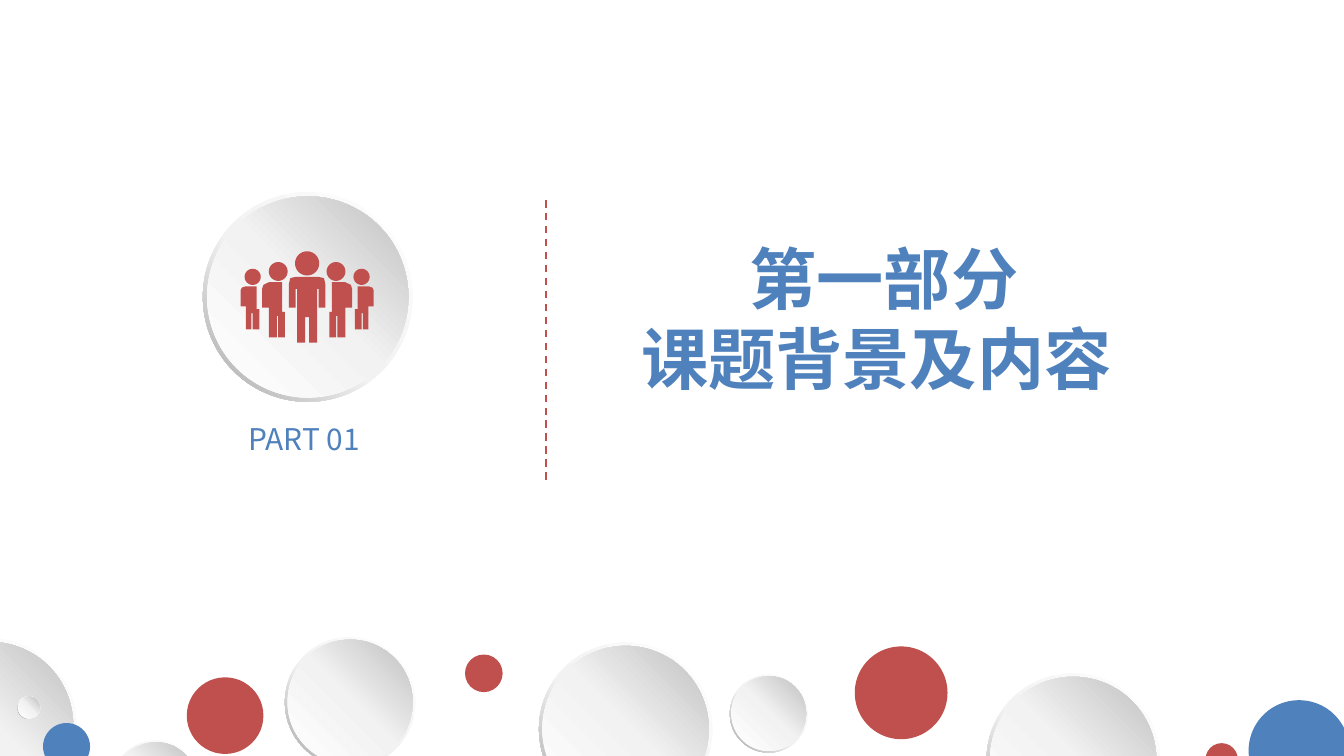
"""Build a section-opening slide with a people badge and a border of balls."""
from copy import deepcopy
from math import cos, pi, sin

from lxml.etree import SubElement
from pptx import Presentation
from pptx.dml.color import RGBColor
from pptx.enum.dml import MSO_LINE
from pptx.enum.shapes import MSO_CONNECTOR, MSO_SHAPE
from pptx.enum.text import MSO_ANCHOR, MSO_AUTO_SIZE, PP_ALIGN
from pptx.oxml.ns import qn
from pptx.util import Inches, Pt

FONT = "Noto Sans CJK SC"
BLUE = RGBColor(0x4F, 0x81, 0xBD)
RED = RGBColor(0xC0, 0x50, 0x4D)
WHITE = RGBColor(0xFF, 0xFF, 0xFF)
PALE = RGBColor(0xF2, 0xF2, 0xF2)
SILVER = RGBColor(0xBF, 0xBF, 0xBF)
GREY = RGBColor(0xA6, 0xA6, 0xA6)

HEADING = [" 第一部分", "课题背景及内容"]
PART_LABEL = "PART 01"

RIM_GRADIENT = (225, [(0, WHITE), (0.55, PALE), (1, GREY)])
FACE_GRADIENT = (45, [(0, WHITE), (0.51, PALE), (1, SILVER)])
RIM_WIDTH = 0.05
FACE_RATIO = 0.96

BADGE = (1.51, 1.43, 1.56, None)
BORDER_BALLS = [
    (4.01, 4.78, 1.29, None),
    (6.36, 4.81, 0.69, RED),
    (2.12, 4.74, 0.97, None),
    (9.29, 5.21, 0.75, BLUE),
    (0.84, 5.51, 0.64, None),
    (3.46, 4.87, 0.28, RED),
    (5.43, 5.02, 0.58, None),
    (7.34, 5.01, 1.29, None),
    (8.97, 5.53, 0.24, RED),
    (-0.72, 4.75, 1.29, None),
    (1.39, 5.04, 0.57, RED),
    (0.32, 5.38, 0.35, BLUE),
    (0.13, 5.18, 0.17, None),
]

PEOPLE_SPAN = 1.79 + 2.78
LEADER_HEAD = (PEOPLE_SPAN / 2, 1.96, 0.09)
LEADER_HALF = [
    (2.37, 2.06), (2.41, 2.07), (2.42, 2.11), (2.42, 2.29), (2.37, 2.29), (2.37, 2.15),
    (2.36, 2.15), (2.36, 2.55), (2.3, 2.55), (2.3, 2.36),
]
LEFT_HEADS = [(1.88, 2.06, 0.06), (2.07, 2.02, 0.07)]
LEFT_BODIES = [
    [(1.93, 2.3), (1.93, 2.45), (1.88, 2.45), (1.88, 2.33), (1.87, 2.33), (1.87, 2.45),
     (1.83, 2.45), (1.83, 2.28), (1.79, 2.28), (1.79, 2.16), (1.8, 2.14), (1.83, 2.13),
     (1.91, 2.13), (1.91, 2.3)],
    [(2.12, 2.32), (2.12, 2.51), (2.07, 2.51), (2.07, 2.35), (2.06, 2.35), (2.06, 2.51),
     (2, 2.51), (2, 2.29), (1.95, 2.29), (1.95, 2.15), (1.96, 2.12), (2, 2.1),
     (2.1, 2.1), (2.1, 2.32)],
]


def mirror(points):
    return [(PEOPLE_SPAN - x, y) for x, y in points]


def head_outline(x, y, radius, steps=40):
    angles = [2 * pi * step / steps for step in range(steps)]
    return [(x + radius * cos(a), y + radius * sin(a)) for a in angles]


def paint(shape, color, gradient):
    shape.shadow.inherit = False
    shape.line.fill.background()
    if color is not None:
        shape.fill.solid()
        shape.fill.fore_color.rgb = color
        return
    angle, stops = gradient
    shape.fill.gradient()
    shape.fill.gradient_angle = angle
    stop_list = shape._element.spPr.find(qn("a:gradFill")).find(qn("a:gsLst"))
    stop_list.append(deepcopy(stop_list[-1]))
    for stop, (position, stop_color) in zip(shape.fill.gradient_stops, stops):
        stop.position = position
        stop.color.rgb = stop_color


def add_ball(slide, left, top, size, color):
    ball = slide.shapes.add_group_shape()
    rim = ball.shapes.add_shape(
        MSO_SHAPE.DONUT, Inches(left), Inches(top), Inches(size), Inches(size))
    rim.adjustments[0] = RIM_WIDTH
    paint(rim, color, RIM_GRADIENT)
    inset = size * (1 - FACE_RATIO) / 2
    face_size = Inches(size * FACE_RATIO)
    face = ball.shapes.add_shape(
        MSO_SHAPE.OVAL, Inches(left + inset), Inches(top + inset), face_size, face_size)
    paint(face, color, FACE_GRADIENT)


def add_people(slide):
    left_side = [head_outline(*head) for head in LEFT_HEADS] + LEFT_BODIES
    leader = LEADER_HALF + mirror(LEADER_HALF)[::-1]
    outlines = [head_outline(*LEADER_HEAD), leader, *left_side, *map(mirror, left_side)]
    builder = None
    for outline in outlines:
        start, *rest = [(Inches(x), Inches(y)) for x, y in outline]
        if builder is None:
            builder = slide.shapes.build_freeform(*start)
        else:
            builder.move_to(*start)
        builder.add_line_segments(rest, close=True)
    paint(builder.convert_to_shape(), RED, None)


def style(paragraph, size, bold, align):
    paragraph.alignment = align
    font = paragraph.font
    font.name, font.size, font.bold = FONT, Pt(size), bold
    font.color.rgb = BLUE
    SubElement(font._element, qn("a:ea"), typeface=FONT)


def add_heading(slide):
    heading = slide.shapes.title
    heading.left, heading.top = Inches(4.67), Inches(1.71)
    heading.width, heading.height = Inches(3.7), Inches(1.31)
    frame = heading.text_frame
    frame.text = "\n".join(HEADING)
    frame.word_wrap = False
    frame.auto_size = MSO_AUTO_SIZE.NONE
    frame.vertical_anchor = MSO_ANCHOR.MIDDLE
    frame.margin_left = frame.margin_right = 0
    for paragraph in frame.paragraphs:
        style(paragraph, 36, True, PP_ALIGN.CENTER)


def add_part_label(slide):
    label = slide.shapes.add_textbox(Inches(1.85), Inches(3.13), Inches(0.99), Inches(0.27))
    frame = label.text_frame
    frame.text = PART_LABEL
    frame.word_wrap = True
    frame.margin_left = frame.margin_right = frame.margin_top = frame.margin_bottom = 0
    style(frame.paragraphs[0], 16, False, PP_ALIGN.LEFT)


def add_divider(slide):
    divider = slide.shapes.add_connector(
        MSO_CONNECTOR.STRAIGHT, Inches(4.06), Inches(3.57), Inches(4.06), Inches(1.47))
    divider.line.color.rgb = RED
    divider.line.width = Pt(1)
    divider.line.dash_style = MSO_LINE.DASH
    SubElement(divider._element.spPr, qn("a:effectLst"))


def main():
    deck = Presentation()
    deck.slide_width = Inches(10)
    deck.slide_height = deck.slide_width * 9 // 16
    slide = deck.slides.add_slide(deck.slide_layouts[5])
    add_heading(slide)
    add_divider(slide)
    add_part_label(slide)
    add_ball(slide, *BADGE)
    add_people(slide)
    for ball in BORDER_BALLS:
        add_ball(slide, *ball)
    deck.save("out.pptx")


if __name__ == "__main__":
    main()
